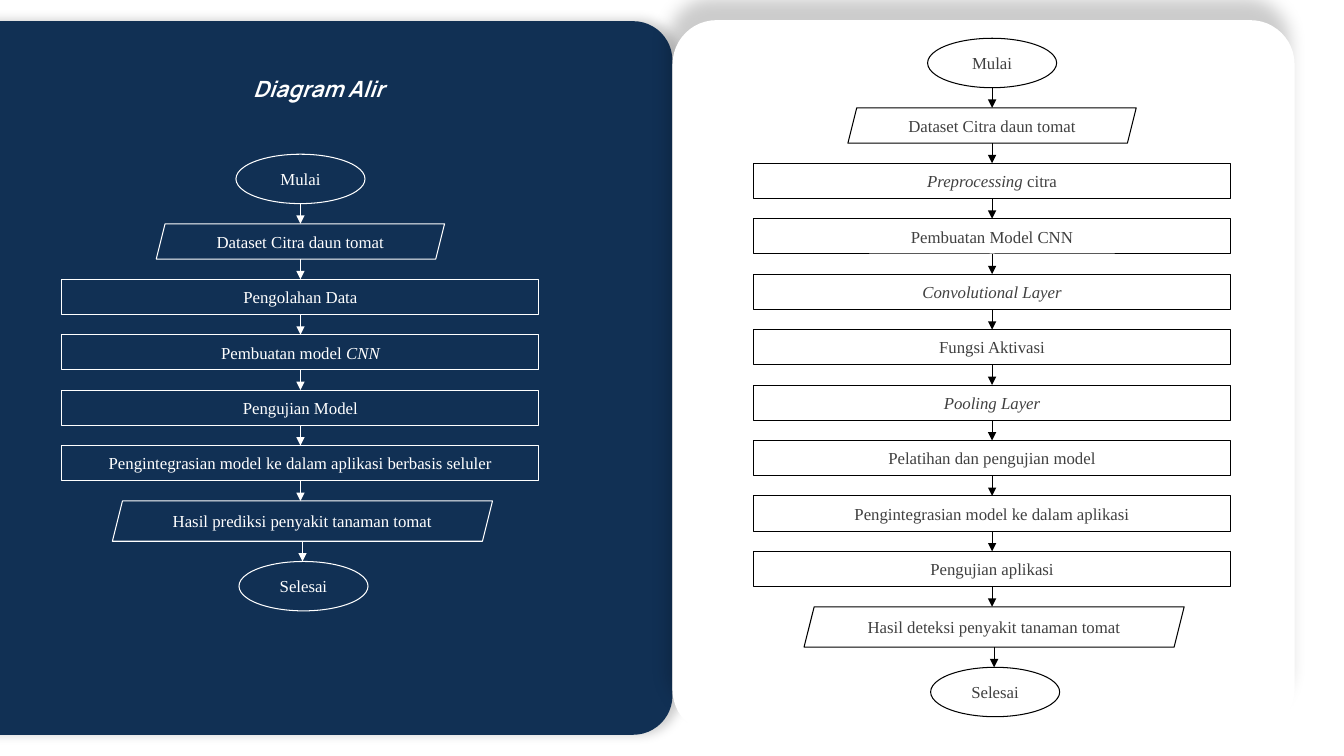
from lxml.etree import SubElement
from pptx import Presentation
from pptx.dml.color import RGBColor
from pptx.enum.shapes import MSO_CONNECTOR, MSO_SHAPE
from pptx.enum.text import MSO_ANCHOR, PP_ALIGN
from pptx.oxml import parse_xml
from pptx.oxml.ns import nsdecls, qn
from pptx.util import Inches, Pt

HUES = {"navy": "113054", "white": "FFFFFF", "black": "000000", "grey": "404040"}
GAP = 0.2
# kind: shape, width, height, shift from the column's centre
KINDS = {
    "start": (MSO_SHAPE.OVAL, 1.28, 0.49, 0),
    "input": (MSO_SHAPE.PARALLELOGRAM, 2.86, 0.35, 0),
    "step": (MSO_SHAPE.RECTANGLE, 4.73, 0.35, 0),
    "result": (MSO_SHAPE.PARALLELOGRAM, 3.77, 0.4, 0.02),
    "end": (MSO_SHAPE.OVAL, 1.28, 0.49, 0.03),
}
# Asterisks enclose italics
LEFT = ["Pengolahan Data", "Pembuatan model *CNN*", "Pengujian Model",
        "Pengintegrasian model ke dalam aplikasi berbasis seluler"]
RIGHT = ["*Preprocessing* citra", "Pembuatan Model CNN", "*Convolutional Layer*",
         "Fungsi Aktivasi", "*Pooling Layer*", "Pelatihan dan pengujian model",
         "Pengintegrasian model ke dalam aplikasi", "Pengujian aplikasi"]


def hue(name):
    return RGBColor.from_string(HUES[name])


def add_panel(slide, box, fill, round_by, blur, dist, turn):
    """Rounded panel with a soft shadow; turn is in degrees."""
    panel = slide.shapes.add_shape(MSO_SHAPE.ROUNDED_RECTANGLE, *map(Inches, box))
    panel.adjustments[0] = round_by
    panel.fill.solid()
    panel.fill.fore_color.rgb = hue(fill)
    panel.line.fill.background()
    panel.element.spPr.append(parse_xml(
        f'<a:effectLst {nsdecls("a")}><a:outerShdw blurRad="{Pt(blur)}" '
        f'dist="{Pt(dist)}" dir="{turn * 60000}" algn="ctr" rotWithShape="0">'
        f'<a:srgbClr val="{HUES["black"]}"><a:alpha val="20000"/></a:srgbClr>'
        '</a:outerShdw></a:effectLst>'))


def add_title(slide, box, text):
    title = slide.shapes.title
    title.left, title.top, title.width, title.height = map(Inches, box)
    title.element.getparent().append(title.element)  # bring above the panel
    frame = title.text_frame
    frame.text = text
    frame.word_wrap = False
    frame.vertical_anchor = MSO_ANCHOR.TOP
    para = frame.paragraphs[0]
    para.alignment = PP_ALIGN.CENTER
    font = para.font
    font.name, font.size, font.bold, font.italic = "Manrope", Pt(16), True, True
    font.color.rgb = hue("white")


def write(frame, text, ink):
    frame.vertical_anchor = MSO_ANCHOR.MIDDLE
    frame.margin_top = frame.margin_bottom = 0
    para = frame.paragraphs[0]
    para.alignment = PP_ALIGN.CENTER
    font = para.font
    font.name, font.size = "Times New Roman", Pt(12)
    font.color.rgb = hue(ink)
    parts = [(part, i % 2 == 1) for i, part in enumerate(text.split("*")) if part]
    for part, slant in parts:
        run = para.add_run()
        run.text = part
        if len(parts) > 1:
            run.font.italic = slant
    if len(parts) == 1:
        font.italic = parts[0][1]


def add_node(slide, mid, top, kind, text, line, ink):
    form, wide, high, shift = KINDS[kind]
    node = slide.shapes.add_shape(form, Inches(mid + shift - wide / 2), Inches(top),
                                  Inches(wide), Inches(high))
    node.shadow.inherit = False
    node.fill.background()
    node.line.color.rgb = hue(line)
    node.line.width = Pt(0.75)
    write(node.text_frame, text, ink)
    return node


def add_arrow(slide, x, first, last, line):
    """Arrow down from one node to the next, joined to rectangles."""
    arrow = slide.shapes.add_connector(
        MSO_CONNECTOR.STRAIGHT, x, first.top + first.height, x, last.top)
    if first.auto_shape_type == MSO_SHAPE.RECTANGLE:
        arrow.begin_connect(first, 2)
    if last.auto_shape_type == MSO_SHAPE.RECTANGLE:
        arrow.end_connect(last, 0)
    arrow.line.color.rgb = hue(line)
    arrow.line.width = Pt(0.5)
    SubElement(arrow.line._get_or_add_ln(), qn("a:tailEnd"), type="triangle")
    SubElement(arrow.element.spPr, qn("a:effectLst"))


def add_flow(slide, mid, top, steps, result, line, ink):
    """Column of nodes, stacked with equal gaps around its centre line."""
    rows = [("start", "Mulai"), ("input", "Dataset Citra daun tomat"),
            *(("step", step) for step in steps),
            ("result", result), ("end", "Selesai")]
    prior, shift = None, 0
    for kind, text in rows:
        node = add_node(slide, mid, top, kind, text, line, ink)
        if prior is not None:
            add_arrow(slide, Inches(mid + shift), prior, node, line)
        prior, shift = node, KINDS[kind][3]
        top += KINDS[kind][2] + GAP


def main():
    deck = Presentation()
    deck.slide_width, deck.slide_height = Inches(13.33), Inches(7.5)
    slide = deck.slides.add_slide(deck.slide_layouts[5])

    # Panels and title
    add_panel(slide, (-0.5, 0.21, 7.17, 7.08), "navy", 0.055, 8, 5, 0)
    add_title(slide, (2.3, 0.7, 1.72, 0.37), "Diagram Alir")
    add_panel(slide, (6.67, 0.2, 6.17, 7.08), "white", 0.071, 12, 16, 258)

    # Flow charts
    add_flow(slide, 9.84, 0.38, RIGHT, "Hasil deteksi penyakit tanaman tomat",
             "black", "grey")
    add_flow(slide, 2.98, 1.53, LEFT, "Hasil prediksi penyakit tanaman tomat",
             "white", "white")
    deck.save("out.pptx")


if __name__ == "__main__":
    main()
